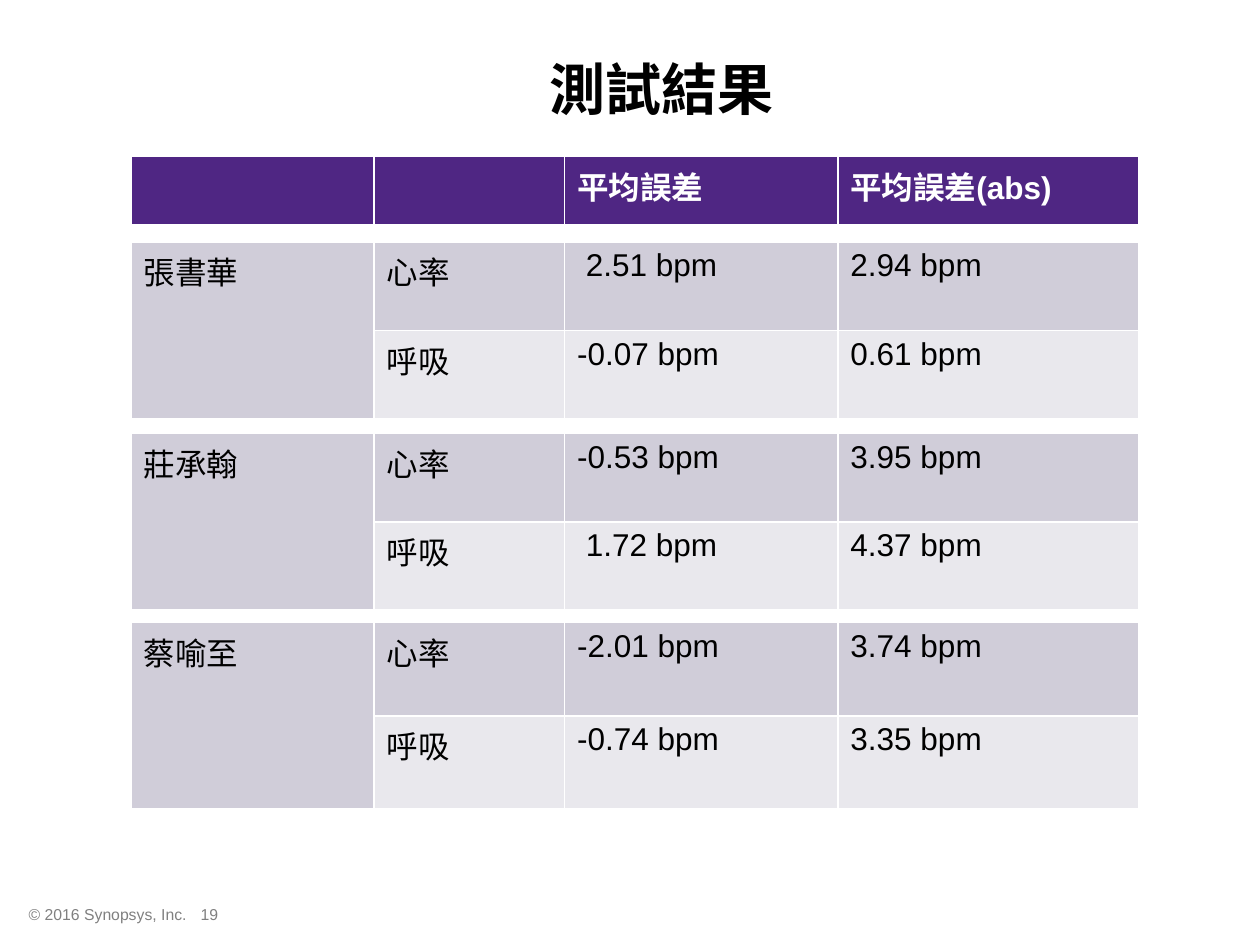
from lxml import etree
from pptx import Presentation
from pptx.dml.color import RGBColor
from pptx.enum import text
from pptx.oxml import ns
from pptx.util import Cm, Pt

COLUMNS = [4.9, 3.84, 5.51, 6.07]
PURPLE, DARK_BAND, LIGHT_BAND = "4F2683", "D0CDD9", "E9E8ED"

prs = Presentation()
prs.slide_width, prs.slide_height = Cm(25.4), Cm(19.05)
slide = prs.slides.add_slide(prs.slide_layouts[6])


def style(paragraph, size, color, bold=False):
    font = paragraph.font
    font.name, font.size, font.bold = "Arial", Pt(size), bold
    font.color.rgb = RGBColor.from_string(color)


def add_grid(top, row_height, rows, fills, color, bold=False, bottom_line=1):
    """Add a table with one fill per row and white cell borders."""
    grid = slide.shapes.add_table(len(rows), len(COLUMNS), Cm(2.64), Cm(top),
                                  Cm(sum(COLUMNS)), Cm(row_height * len(rows))).table
    grid.first_row = grid.horz_banding = False
    for column, width in zip(grid.columns, COLUMNS):
        column.width = Cm(width)
    for r, (values, fill) in enumerate(zip(rows, fills)):
        grid.rows[r].height = Cm(row_height)
        for c, value in enumerate(values):
            cell = grid.cell(r, c)
            cell.text = value
            style(cell.text_frame.paragraphs[0], 18, color, bold)
            cell.fill.solid()
            cell.fill.fore_color.rgb = RGBColor.from_string(fill)
            properties = cell._tc.get_or_add_tcPr()
            for i, side in enumerate(["lnL", "lnR", "lnT", "lnB"]):
                line = etree.Element(ns.qn(f"a:{side}"))
                line.set("w", str(Pt(bottom_line if side == "lnB" else 1)))
                paint = etree.SubElement(line, ns.qn("a:solidFill"))
                etree.SubElement(paint, ns.qn("a:srgbClr")).set("val", "FFFFFF")
                properties.insert(i, line)
    return grid


# Title and footer
captions = [
    ("測試結果", (1.27, 0.18, 24.13, 3.18), 32, "000000", True, text.PP_ALIGN.CENTER),
    ("© 2016 Synopsys, Inc.", (0.33, 18.11, 7.82, 0.64), 9, "808080", False, text.PP_ALIGN.LEFT),
    ("19", (3.33, 18.11, 1.78, 0.64), 9, "808080", False, text.PP_ALIGN.CENTER),
]
for words, place, size, color, bold, align in captions:
    frame = slide.shapes.add_textbox(*map(Cm, place)).text_frame
    frame.word_wrap = True
    frame.vertical_anchor = text.MSO_ANCHOR.MIDDLE
    frame.text = words
    frame.paragraphs[0].alignment = align
    style(frame.paragraphs[0], size, color, bold)

# Column headings
add_grid(3.15, 1.42, [["", "", "平均誤差", "平均誤差(abs)"]], [PURPLE],
         "FFFFFF", bold=True, bottom_line=3)

# One table per test subject
subjects = [
    ("張書華", 4.88, 1.78, (" 2.51", "2.94"), ("-0.07", "0.61")),
    ("莊承翰", 8.74, 1.78, ("-0.53", "3.95"), (" 1.72", "4.37")),
    ("蔡喻至", 12.55, 1.88, ("-2.01", "3.74"), ("-0.74", "3.35")),
]
for subject, top, row_height, heart, breath in subjects:
    rows = [[subject, "心率", *(f"{v} bpm" for v in heart)],
            ["", "呼吸", *(f"{v} bpm" for v in breath)]]
    grid = add_grid(top, row_height, rows, [DARK_BAND, LIGHT_BAND], "000000")
    grid.cell(0, 0).merge(grid.cell(1, 0))

prs.save("out.pptx")
